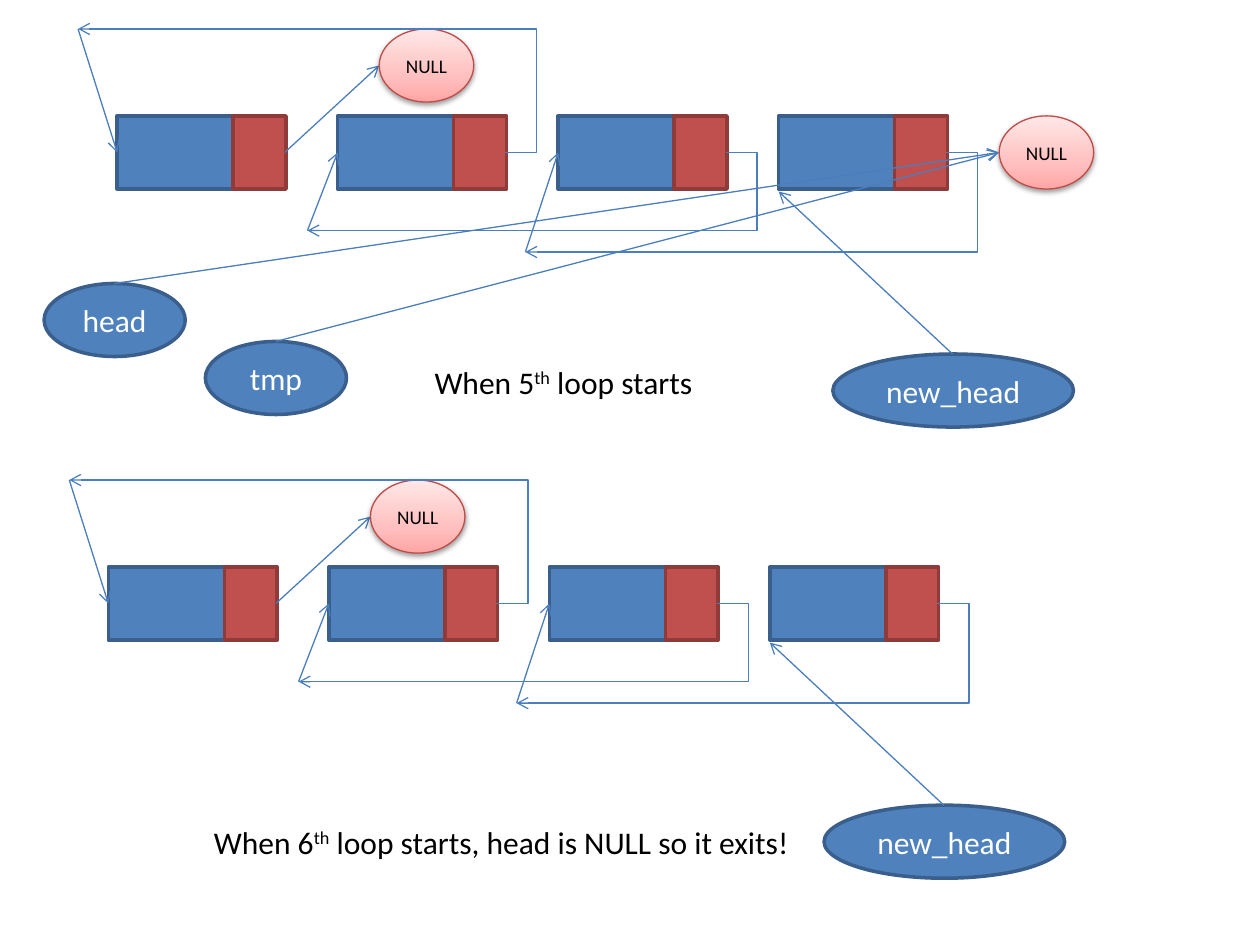
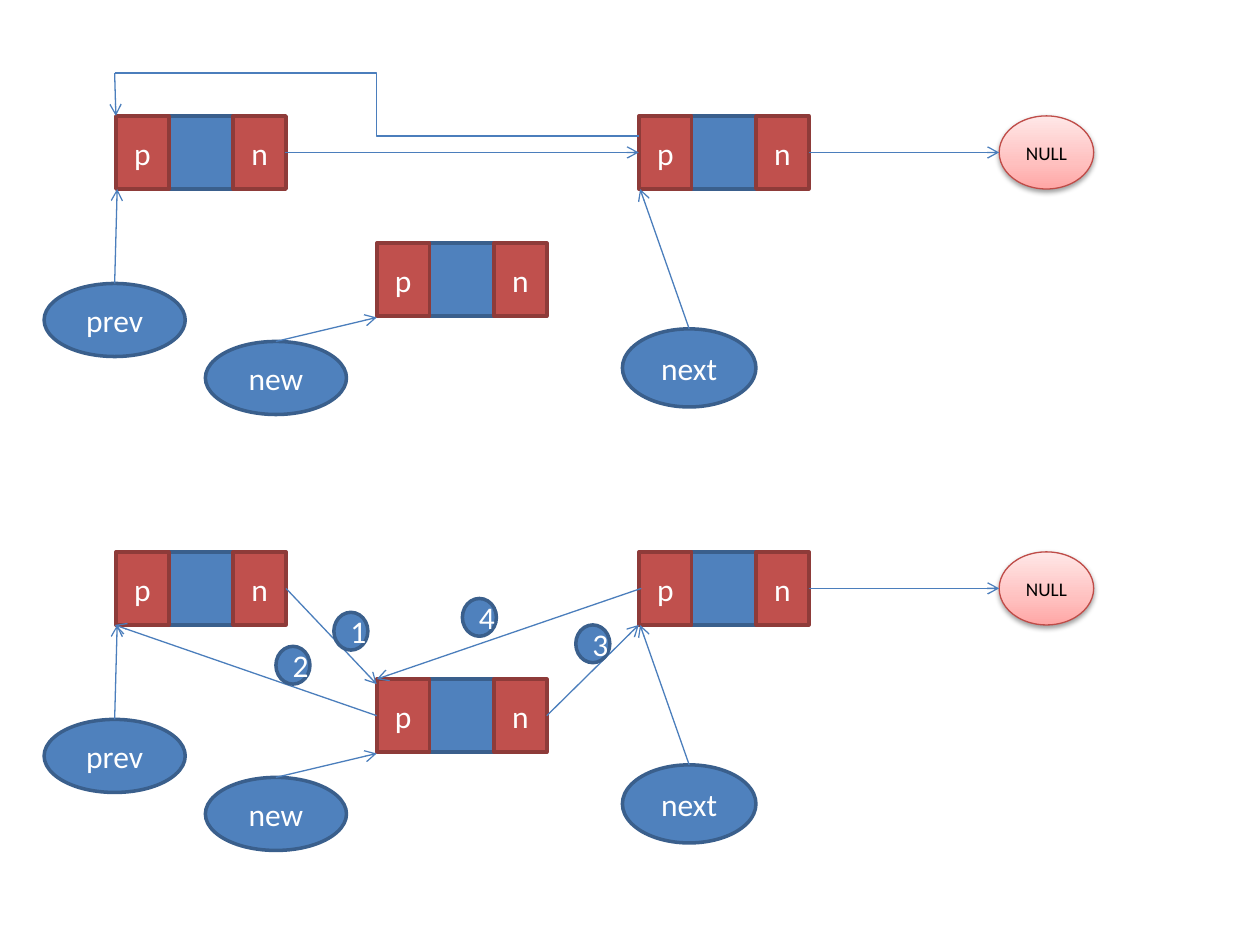
from copy import deepcopy

from lxml import etree
from pptx import Presentation
from pptx.dml.color import RGBColor
from pptx.enum.shapes import MSO_CONNECTOR, MSO_SHAPE
from pptx.enum.text import MSO_ANCHOR, MSO_AUTO_SIZE, PP_ALIGN
from pptx.oxml.ns import qn
from pptx.util import Inches, Pt

RECT, OVAL = MSO_SHAPE.RECTANGLE, MSO_SHAPE.OVAL
STRAIGHT, ELBOW = MSO_CONNECTOR.STRAIGHT, MSO_CONNECTOR.ELBOW
CENTER, MIDDLE = PP_ALIGN.CENTER, MSO_ANCHOR.MIDDLE
FIT_SHAPE = MSO_AUTO_SIZE.SHAPE_TO_FIT_TEXT

FONT = "Calibri"
COLORS = {
    "blue": "4F81BD", "blue_edge": "3A5F8C",
    "red": "C0504D", "red_edge": "8E3B39",
    "null_edge": "BF4C48", "link": "4B7EBC",
    "white": "FFFFFF", "black": "000000",
}
NULL_STOPS = [(0, "FFA6A5"), (0.35, "FFC0BF"), (1, "FFE7E7")]

# Grid: 10 columns by 7.5 rows; sizes below are in columns and rows
COLS, ROWS = 10, 7.5
BODY_W, CELL_W, NODE_H = 1.33, 0.42, 0.58
CELL_DX = 0.92                # pointer cell, from the left of its node
MID = NODE_H / 2
NODE_Y = 0.92


def rgb(name):
    return RGBColor.from_string(COLORS.get(name, name))


class Diagram:
    """Holds the style, the current slide and the origin of the current part."""

    def __init__(self, prs):
        self.prs = prs
        self.col = prs.slide_width / COLS
        self.row = prs.slide_height / ROWS

    def new_slide(self):
        self.s = self.prs.slides.add_slide(self.prs.slide_layouts[6])

    def move_to(self, dx, dy):
        self.dx, self.dy = dx, dy

    def pos(self, x, y):
        return round((x + self.dx) * self.col), round((y + self.dy) * self.row)

    def size(self, w, h):
        return round(w * self.col), round(h * self.row)

    def run(self, p, text, size=18, color="white"):
        r = p.add_run()
        r.text = text
        r.font.name, r.font.size = FONT, Pt(size)
        r.font.color.rgb = rgb(color)
        return r

    def shape(self, kind, x, y, w, h, fill="blue", edge="blue_edge", text="",
              parent=None):
        shapes = (parent or self.s).shapes
        sp = shapes.add_shape(kind, *self.pos(x, y), *self.size(w, h))
        sp.shadow.inherit = False
        sp.fill.solid()
        sp.fill.fore_color.rgb = rgb(fill)
        sp.line.color.rgb = rgb(edge)
        sp.line.width = Pt(2)
        if text:
            self.label(sp, text)
        return sp

    def label(self, sp, text, size=18, color="white"):
        tf = sp.text_frame
        tf.vertical_anchor = MIDDLE
        p = tf.paragraphs[0]
        p.alignment = CENTER
        self.run(p, text, size, color)

    def node(self, x, y, nxt="", prev=""):
        group = self.s.shapes.add_group_shape()
        self.shape(RECT, x, y, BODY_W, NODE_H, parent=group)
        self.shape(RECT, x + CELL_DX, y, CELL_W, NODE_H, "red", "red_edge",
                   nxt, group)
        if prev:
            self.shape(RECT, x - 0.01, y, CELL_W, NODE_H, "red", "red_edge", prev)

    def oval(self, text, x, y, w=1.12, h=NODE_H):
        self.shape(OVAL, x, y, w, h, text=text)

    def null(self, x, y):
        sp = self.shape(OVAL, x, y, 0.75, NODE_H, edge="null_edge")
        sp.line.width = Pt(0.75)
        self.label(sp, "NULL", 11, "black")
        # Three-stop gradient
        sp.fill.gradient()
        sp.fill.gradient_angle = 90
        stops = next(sp._element.spPr.iter(qn("a:gsLst")))
        stops.append(deepcopy(stops[0]))
        for stop, (place, color) in zip(sp.fill.gradient_stops, NULL_STOPS):
            stop.position = place
            stop.color.rgb = rgb(color)
        # Soft shadow below
        effects = sp._element.spPr.find(qn("a:effectLst"))
        shadow = etree.SubElement(effects, qn("a:outerShdw"), blurRad=str(Pt(3.1)),
                                  dist=str(Pt(1.6)), dir="5400000", rotWithShape="0")
        color = etree.SubElement(shadow, qn("a:srgbClr"), val=COLORS["black"])
        etree.SubElement(color, qn("a:alpha"), val="38000")

    def link(self, start, end, kind=STRAIGHT, arrow=True):
        cn = self.s.shapes.add_connector(kind, *self.pos(*start), *self.pos(*end))
        cn.line.color.rgb = rgb("link")
        cn.line.width = Pt(0.75)
        if arrow:
            etree.SubElement(cn.line._get_or_add_ln(), qn("a:tailEnd"), type="arrow")
        etree.SubElement(cn._element.spPr, qn("a:effectLst"))
        return cn

    def loop_back(self, start, end, reach=0.25):
        """Elbow that leaves to the right by `reach` and returns to the left."""
        cn = self.link(start, end, ELBOW)
        share = round(-reach / (start[0] - end[0]) * 100000)
        guides = next(cn._element.spPr.iter(qn("a:avLst")))
        etree.SubElement(guides, qn("a:gd"), name="adj1", fmla=f"val {share}")

    def caption(self, x, y, w, before, after):
        sp = self.s.shapes.add_textbox(*self.pos(x, y), *self.size(w, 0.4))
        tf = sp.text_frame
        tf.word_wrap = False
        tf.auto_size = FIT_SHAPE
        p = tf.paragraphs[0]
        self.run(p, before, color="black")
        th = self.run(p, "th", color="black")
        th._r.get_or_add_rPr().set("baseline", "30000")
        self.run(p, after, color="black")


def reversed_list(d):
    """Four nodes whose pointers already lead backwards."""
    lefts = [0.93 + 1.75 * i for i in range(4)]
    mid = NODE_Y + MID
    for x in lefts:
        d.node(x, NODE_Y)
    d.link((lefts[0] + BODY_W, mid), (3.01, 0.52))
    d.oval("new_head", 6.61, 2.81, 1.91)
    d.link((7.56, 2.81), (lefts[3], 1.52))
    d.null(3.01, 0.23)
    turns = [(0.62, 0.23), (2.44, 1.83), (4.17, 2)]
    for x, turn in zip(lefts[1:], turns):
        d.loop_back((x + BODY_W, mid), turn)
    for x, turn in zip(lefts, turns):
        d.link(turn, (x, mid))


def doubly_linked(d):
    """Two neighbours, the new node and the names that point at them."""
    bottom = NODE_Y + NODE_H
    for x, y in [(0.93, NODE_Y), (3, 1.93), (5.08, NODE_Y)]:
        d.node(x, y, "n", "p")
    d.null(7.93, NODE_Y)
    d.oval("prev", 0.35, 2.25)
    d.oval("new", 1.63, 2.71)
    d.oval("next", 4.94, 2.61, 1.06, 0.62)
    d.link((0.91, 2.25), (0.93, bottom))
    d.link((5.47, 2.61), (5.08, bottom))
    d.link((2.19, 2.71), (2.99, 2.52))
    d.link((6.42, NODE_Y + MID), (7.93, NODE_Y + MID))


prs = Presentation()
prs.slide_width, prs.slide_height = Inches(10), Inches(7.5)
d = Diagram(prs)

# Slide 1: last two loops of the list reversal
d.new_slide()
d.move_to(0, 0)
reversed_list(d)
d.null(7.93, NODE_Y)
for name, x, y in [("head", 0.35, 2.25), ("tmp", 1.63, 2.71)]:
    d.oval(name, x, y)
    d.link((x + 0.56, y), (7.93, NODE_Y + MID))
d.caption(3.35, 2.83, 2.29, "When 5", " loop starts")

d.move_to(-0.07, 3.58)
reversed_list(d)
d.caption(1.67, 2.9, 4.83, "When 6", " loop starts, head is NULL so it exits!")

# Slide 2: insertion into a doubly linked list, before and after
d.new_slide()
d.move_to(0, 0)
doubly_linked(d)
d.link((2.26, NODE_Y + MID), (5.07, NODE_Y + MID))
d.link((0.91, 0.58), (0.92, NODE_Y))
d.link((0.91, 0.58), (5.07, 1.08), ELBOW, arrow=False)

d.move_to(0, 3.46)
doubly_linked(d)
steps = [  # number, badge place, link start, link end
    ("4", (3.67, 1.29), (5.09, 1.21), (2.99, 1.93)),
    ("3", (4.57, 1.5), (4.34, 2.22), (5.07, 1.5)),
    ("2", (2.19, 1.67), (2.99, 2.22), (0.91, 1.5)),
    ("1", (2.65, 1.4), (2.27, 1.21), (2.99, 1.97)),
]
for number, place, start, end in steps:
    d.link(start, end)
    d.oval(number, *place, 0.27, 0.3)

prs.save("out.pptx")
